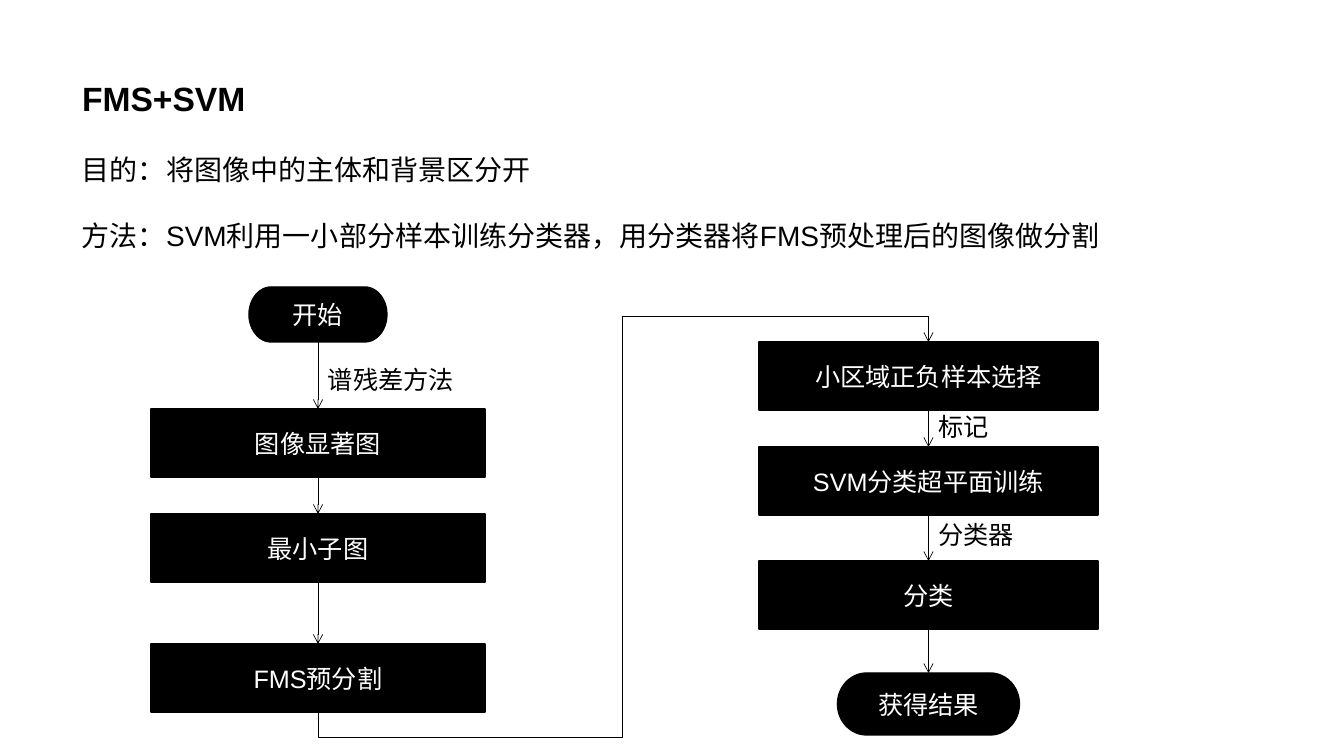
from pptx import Presentation
from pptx import util as u
from pptx.dml.color import RGBColor
from pptx.enum import shapes, text
from pptx.oxml import parse_xml
from pptx.oxml.ns import nsdecls

BLACK, WHITE = "000000", "FFFFFF"
KINDS = shapes.MSO_SHAPE
LINKS = shapes.MSO_CONNECTOR


def px(n):
    """Turn pixels into EMU."""
    return u.Emu(round(n * 914400 / 100.8))


def tint(code):
    """Turn a hex string into a colour."""
    return RGBColor.from_string(code)


def write(frame, *lines, size=18, color=BLACK, bold=False, align=None,
          anchor=text.MSO_ANCHOR.TOP, gap=0, pitch=None):
    """Fill a text frame with formatted paragraphs."""
    frame.word_wrap = True
    frame.vertical_anchor = anchor
    for i, line in enumerate(lines):
        para = frame.add_paragraph() if i else frame.paragraphs[0]
        para.alignment = align
        para.line_spacing = pitch
        if i:
            para.space_before = u.Pt(gap)
        run = para.add_run()
        run.text = line
        font = run.font
        font.name, font.size, font.bold = "Arial", u.Pt(size), bold
        font.color.rgb = tint(color)


def note(slide, box, *lines, **form):
    """Add a text box."""
    area = slide.shapes.add_textbox(*map(px, box))
    write(area.text_frame, *lines, **form)


def node(slide, kind, box, label):
    """Add a black flowchart node."""
    shape = slide.shapes.add_shape(kind, *map(px, box))
    shape.shadow.inherit = False
    shape.fill.solid()
    shape.fill.fore_color.rgb = tint(BLACK)
    shape.line.color.rgb = tint(BLACK)
    shape.line.width = u.Pt(1)
    write(shape.text_frame, label, color=WHITE,
          align=text.PP_ALIGN.CENTER, anchor=text.MSO_ANCHOR.MIDDLE)


def arrow(slide, start, end, kind=LINKS.STRAIGHT):
    """Add a thin connector with an open arrowhead."""
    link = slide.shapes.add_connector(kind, *map(px, start + end))
    link.line.color.rgb = tint(BLACK)
    link.line.width = u.Pt(0.5)
    link.line._get_or_add_ln().append(
        parse_xml(f'<a:tailEnd {nsdecls("a")} type="arrow"/>'))
    link._element.spPr.append(parse_xml(f'<a:effectLst {nsdecls("a")}/>'))
    return link


def loop(slide, start, end, out=26):
    """Link the foot of one column to the head of the next."""
    (x1, y1), (x2, y2) = start, end
    midx, midy = (x1 + x2) / 2, (y1 + y2) / 2
    halfw, halfh = (y1 - y2) / 2, (x2 - x1) / 2
    link = arrow(slide, (midx + halfw, midy + halfh),
                 (midx - halfw, midy - halfh), LINKS.ELBOW)
    props = link._element.spPr
    props.xfrm.set("rot", "5400000")
    side = round(out / (y1 - y2) * 100000)
    guides = "".join(
        f'<a:gd name="adj{i}" fmla="val {v}"/>'
        for i, v in enumerate((-side, 49800, 100000 + side), 1))
    old = props.prstGeom
    props.replace(old, parse_xml(
        f'<a:prstGeom {nsdecls("a")} prst="bentConnector5">'
        f'<a:avLst>{guides}</a:avLst></a:prstGeom>'))


def column(slide, box, steps):
    """Stack nodes down a box and join them with arrows."""
    left, top, width, _ = box
    mid = left + width / 2
    foot = None
    for kind, y, wide, high, label in steps:
        head = top + y
        node(slide, kind, (mid - wide / 2, head, wide, high), label)
        if foot is not None:
            arrow(slide, (mid, foot), (mid, head))
        foot = head + high


def header(slide, box):
    """Place the title and the two lines of introduction."""
    x, y, w, h = box
    title = slide.shapes.title
    title.left, title.top, title.width, title.height = map(
        px, (x, y, w, 146))
    write(title.text_frame, "FMS+SVM", size=24, bold=True, pitch=0.9,
          align=text.PP_ALIGN.LEFT, anchor=text.MSO_ANCHOR.MIDDLE)
    note(slide, (x, y + 120, w + 13, h - 120),
         "目的：将图像中的主体和背景区分开",
         "方法：SVM利用一小部分样本训练分类器，用分类器将FMS预处理后的图像做分割",
         size=20, gap=23)


def chart(slide, box):
    """Draw the flowchart in two columns."""
    x, y, w, h = box
    end, task = KINDS.FLOWCHART_TERMINATOR, KINDS.FLOWCHART_PROCESS
    lw, rw, high = 334, 339, 68
    rx = x + w - rw
    column(slide, (x, y, lw, h), [
        (end, 0, 138, 55, "开始"),
        (task, 122, lw, high, "图像显著图"),
        (task, 227, lw, high, "最小子图"),
        (task, 357, lw, high, "FMS预分割")])
    column(slide, (rx, y, rw, h), [
        (task, 55, rw, high, "小区域正负样本选择"),
        (task, 160, rw, high, "SVM分类超平面训练"),
        (task, 274, rw, high, "分类"),
        (end, 386, 182, 62, "获得结果")])
    lmid, rmid = x + lw / 2, rx + rw / 2
    loop(slide, (lmid, y + 357 + high), (rmid, y + 55))
    for left, top, wide, label in (
            (lmid, 72, 167, "谱残差方法"),
            (rmid, 119, 98, "标记"),
            (rmid, 227, 98, "分类器")):
        note(slide, (left, y + top, wide, 40), label)


def main():
    """Build and save the deck."""
    deck = Presentation()
    deck.slide_width, deck.slide_height = px(1344), px(756)
    slide = deck.slides.add_slide(deck.slide_layouts[5])
    header(slide, (72, 28, 1159, 314))
    chart(slide, (151, 287, 947, 448))
    deck.save("out.pptx")


main()
